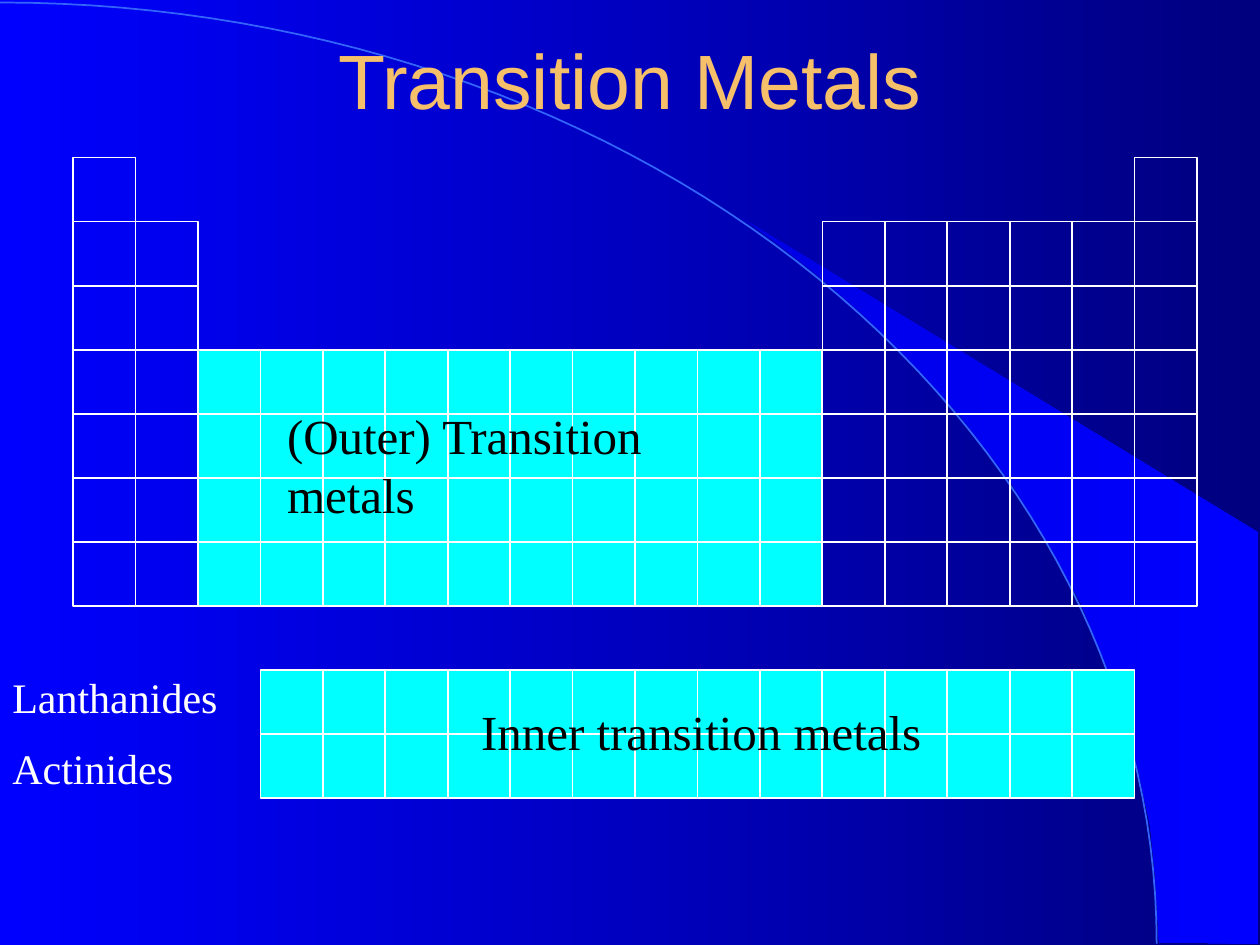
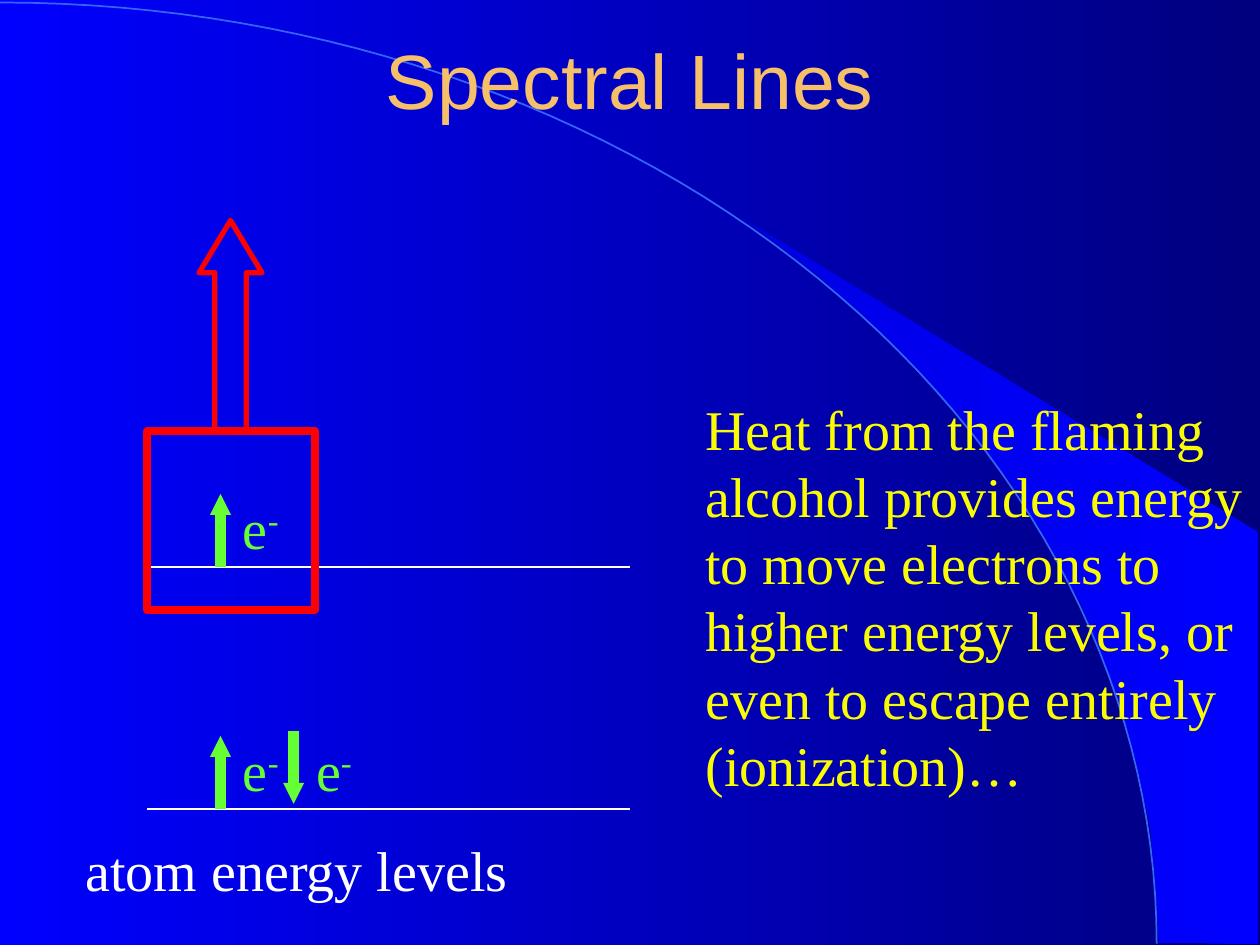
import math
from dataclasses import dataclass

from lxml import etree
from pptx import Presentation
from pptx.dml.color import RGBColor
from pptx.enum.shapes import MSO_CONNECTOR, MSO_SHAPE
from pptx.enum.text import MSO_ANCHOR, PP_ALIGN
from pptx.oxml.ns import qn
from pptx.util import Inches, Pt

RECTANGLE = MSO_SHAPE.RECTANGLE
UP_ARROW = MSO_SHAPE.UP_ARROW
STRAIGHT = MSO_CONNECTOR.STRAIGHT
MIDDLE = MSO_ANCHOR.MIDDLE
CENTER = PP_ALIGN.CENTER


@dataclass(frozen=True)
class Theme:
    title_font: str = "Arial"
    body_font: str = "Times New Roman"
    title_size: int = 44
    body_size: int = 32
    block_size: int = 28
    series_size: int = 24
    line_height: float = 1.2
    background: tuple = ("0000FF", "00007F")
    wedge: tuple = ("0000E5", "0000FF")
    arc: str = "3365FB"
    title: str = "F6BF69"
    white: str = "FFFFFF"
    black: str = "000000"
    metal: str = "00FFFF"
    note: str = "FAFD00"
    electron: str = "66FF33"
    highlight: str = "FF0000"


THEME = Theme()

# Edge of the bright wedge behind the arc
WEDGE = [(9.2, 7.48), (9.99, 7.49), (9.99, 4.23), (5.89, 1.73), (6.24, 1.99),
         (6.53, 2.22), (6.85, 2.5), (7.16, 2.8), (7.62, 3.3), (8.03, 3.84),
         (8.32, 4.31), (8.58, 4.79), (8.78, 5.28), (8.93, 5.72), (9.03, 6.09),
         (9.13, 6.56), (9.17, 6.96)]

# Periodic table: (first column, last column, first row, last row, fill)
COLUMNS, ROWS = 18, 7
BLOCKS = [(0, 0, 0, 6, None), (1, 1, 1, 6, None),
          (2, 11, 3, 6, THEME.metal),
          (12, 16, 1, 6, None), (17, 17, 0, 6, None),
          (3, 16, 8, 9, THEME.metal)]


def rgb(value):
    return RGBColor.from_string(value)


def paint_gradient(fill, colors):
    fill.gradient()
    fill.gradient_angle = 0
    for stop, color in zip(fill.gradient_stops, colors):
        stop.color.rgb = rgb(color)


def draw_outline(slide, points, close):
    corners = [(Inches(x), Inches(y)) for x, y in points]
    builder = slide.shapes.build_freeform(*corners[0], scale=1.0)
    builder.add_line_segments(corners[1:], close=close)
    outline = builder.convert_to_shape()
    outline.shadow.inherit = False
    return outline


def add_text(slide, box, paragraphs, size, color, font=THEME.body_font):
    label = slide.shapes.add_textbox(*map(Inches, box))
    frame = label.text_frame
    frame.word_wrap = True
    frame.text = "\n".join(paragraphs)
    for index, paragraph in enumerate(frame.paragraphs):
        paragraph.line_spacing = Pt(size * THEME.line_height)
        if index:
            paragraph.space_before = Pt(size / 2)
        for run in paragraph.runs:
            run.font.name = font
            run.font.size = Pt(size)
            run.font.color.rgb = rgb(color)
    return frame


def add_outlined(slide, kind, box, color, width, fill=None):
    shape = slide.shapes.add_shape(kind, *map(Inches, box))
    shape.shadow.inherit = False
    shape.line.color.rgb = rgb(color)
    shape.line.width = Pt(width)
    if fill:
        shape.fill.solid()
        shape.fill.fore_color.rgb = rgb(fill)
    else:
        shape.fill.background()
    return shape


def add_line(slide, start, end, color, width, arrow=False):
    line = slide.shapes.add_connector(STRAIGHT, *map(Inches, start + end))
    line.line.color.rgb = rgb(color)
    line.line.width = Pt(width)
    if arrow:
        etree.SubElement(line.line._get_or_add_ln(), qn("a:tailEnd"),
                         type="triangle", w="sm", len="sm")
    etree.SubElement(line._element.spPr, qn("a:effectLst"))


def new_slide(deck, title):
    """Add a slide with the shared background, wedge, arc and title."""
    slide = deck.slides.add_slide(deck.slide_layouts[6])
    paint_gradient(slide.background.fill, THEME.background)

    wedge = draw_outline(slide, WEDGE, close=True)
    paint_gradient(wedge.fill, THEME.wedge)
    wedge.line.fill.background()

    # Quarter ellipse from the top left corner to the bottom edge
    steps = 60
    angles = [math.pi / 2 * step / steps for step in range(steps + 1)]
    arc = draw_outline(slide, [(9.18 * math.sin(a), 7.49 - 7.47 * math.cos(a))
                               for a in angles], close=False)
    arc.fill.background()
    arc.line.color.rgb = rgb(THEME.arc)
    arc.line.width = Pt(1)

    frame = add_text(slide, (0.75, 0, 8.5, 1.25), [title],
                     THEME.title_size, THEME.title, THEME.title_font)
    frame.vertical_anchor = MIDDLE
    frame.paragraphs[0].alignment = CENTER
    return slide


def add_periodic_table(slide, box):
    left, top, width, height = box
    cell_width, cell_height = width / COLUMNS, height / ROWS
    for first_col, last_col, first_row, last_row, fill in BLOCKS:
        for row in range(first_row, last_row + 1):
            for col in range(first_col, last_col + 1):
                cell = (left + col * cell_width, top + row * cell_height,
                        cell_width, cell_height)
                add_outlined(slide, RECTANGLE, cell, THEME.white, 1, fill)

    # Block names, measured from the corner of the table
    add_text(slide, (left - 0.58, top + 4.03, 2.03, 1.1),
             ["Lanthanides", "Actinides"], THEME.series_size, THEME.white)
    add_text(slide, (left + 3.14, top + 4.27, 4.09, 0.57),
             ["Inner transition metals"], THEME.block_size, THEME.black)
    add_text(slide, (left + 1.6, top + 1.92, 3.74, 1.03),
             ["(Outer) Transition metals"], THEME.block_size, THEME.black)


def add_electron(slide, x, level, up=True):
    """Spin arrow with its e- label, standing on an energy level."""
    low, high = (x, level), (x, level - 0.58)
    if not up:
        low, high = (x, level - 0.62), (x, level - 0.04)
    add_line(slide, low, high, THEME.electron, 6, arrow=True)
    frame = add_text(slide, (x + 0.08, level - 0.63, 0.75, 0.63), ["e"],
                     THEME.body_size, THEME.electron)
    charge = frame.paragraphs[0].add_run()
    charge.text = "-"
    charge.font.name = THEME.body_font
    charge.font.size = Pt(THEME.body_size)
    charge.font.color.rgb = rgb(THEME.electron)
    charge.font._element.set("baseline", "30000")


def add_energy_levels(slide, box):
    left, top, width, height = box
    ground, excited = top + height, top + height - 1.92
    for level in (ground, excited):
        add_line(slide, (left, level), (left + width, level), THEME.white, 1)
    add_text(slide, (left - 0.59, ground + 0.16, 4.92, 0.63),
             ["atom energy levels"], THEME.body_size, THEME.white)

    add_electron(slide, left + 0.58, ground)
    add_electron(slide, left + 0.58, excited)
    add_electron(slide, left + 1.16, ground, up=False)

    # Excited electron and its way out of the atom
    add_outlined(slide, RECTANGLE, (left, excited - 1.08, 1.33, 1.42),
                 THEME.highlight, 4.5)
    escape = add_outlined(slide, UP_ARROW, (left + 0.41, top, 0.5, 1.67),
                          THEME.highlight, 3)
    escape.adjustments[0] = 0.5
    escape.adjustments[1] = 0.83


def build_transition_metals(deck):
    slide = new_slide(deck, "Transition Metals")
    add_periodic_table(slide, (0.58, 1.25, 8.92, 3.56))


def build_spectral_lines(deck):
    slide = new_slide(deck, "Spectral Lines")
    add_energy_levels(slide, (1.17, 1.75, 3.83, 4.67))
    add_text(slide, (5.5, 3.08, 4.5, 3.3),
             ["Heat from the flaming alcohol provides energy to move electrons "
              "to higher energy levels, or even to escape entirely "
              "(ionization)…"], THEME.body_size, THEME.note)


def main():
    deck = Presentation()
    deck.slide_width, deck.slide_height = Inches(10), Inches(7.5)
    build_transition_metals(deck)
    build_spectral_lines(deck)
    deck.save("out.pptx")


if __name__ == "__main__":
    main()
